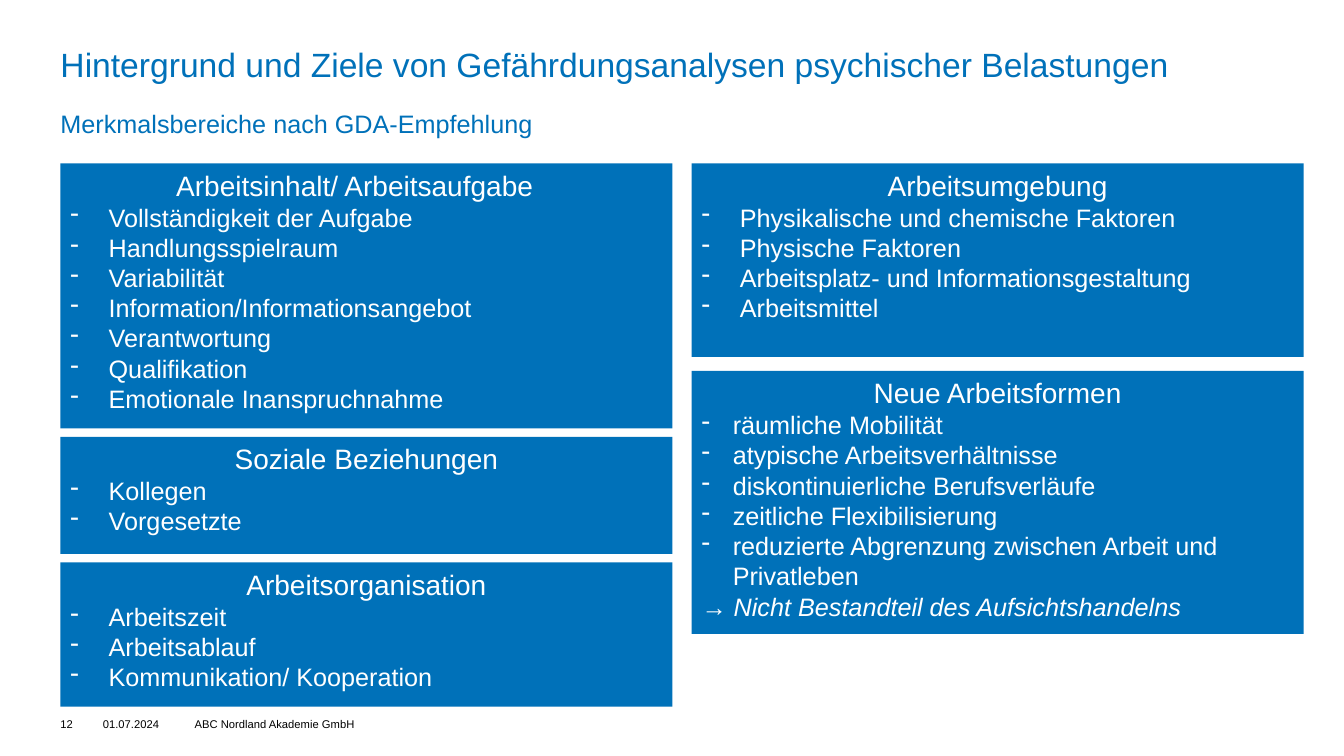
import pptx
import pptx.util
import pptx.dml.color
import pptx.enum.shapes
import pptx.enum.text
import pptx.oxml.ns
import lxml.etree

Inches, Pt = pptx.util.Inches, pptx.util.Pt
ALIGN, ANCHOR = pptx.enum.text.PP_ALIGN, pptx.enum.text.MSO_ANCHOR

COLORS = {"blue": "0071B9", "white": "FFFFFF", "black": "000000"}
FONT = "Arial"
SLIDE_W, SLIDE_H = 13.33, 7.5

# Two equal columns between the margins
LEFT, COLUMN_W, GUTTER = 0.6, 6.07, 0.19
COLUMNS = [LEFT + i * (COLUMN_W + GUTTER) for i in range(2)]
PANELS_TOP, FOOTER_TOP, FOOTER_H = 1.62, 7.02, 0.32

# Per column: gap between panels, then (heading, items, height, indent, extra right inset)
AREAS = [
    (0.085, [
        ("Arbeitsinhalt/ Arbeitsaufgabe",
         ["Vollständigkeit der Aufgabe", "Handlungsspielraum", "Variabilität",
          "Information/Informationsangebot", "Verantwortung", "Qualifikation",
          "Emotionale Inanspruchnahme"], 2.63, 0.38, 0.23),
        ("Soziale Beziehungen", ["Kollegen", "Vorgesetzte"], 1.16, 0.38, 0),
        ("Arbeitsorganisation",
         ["Arbeitszeit", "Arbeitsablauf", "Kommunikation/ Kooperation"], 1.43, 0.38, 0),
    ]),
    (0.14, [
        ("Arbeitsumgebung",
         ["Physikalische und chemische Faktoren", "Physische Faktoren",
          "Arbeitsplatz- und Informationsgestaltung", "Arbeitsmittel"], 1.92, 0.38, 0),
        ("Neue Arbeitsformen",
         ["räumliche Mobilität", "atypische Arbeitsverhältnisse",
          "diskontinuierliche Berufsverläufe", "zeitliche Flexibilisierung",
          "reduzierte Abgrenzung zwischen Arbeit und Privatleben"], 2.61, 0.31, 0),
    ]),
]
NOTE = "Nicht Bestandteil des Aufsichtshandelns"
FOOTER = [("12", 0.42), ("01.07.2024", 0.91), ("ABC Nordland Akademie GmbH", 3.95)]


def rgb(name):
    return pptx.dml.color.RGBColor.from_string(COLORS[name])


def add_run(paragraph, text, size, color, italic=False):
    run = paragraph.add_run()
    run.text = text
    run.font.name = FONT
    run.font.size = Pt(size)
    run.font.color.rgb = rgb(color)
    if italic:
        run.font.italic = True


def set_dash(paragraph, indent):
    properties = paragraph._p.get_or_add_pPr()
    properties.set("marL", str(Inches(indent)))
    properties.set("indent", str(-Inches(indent)))
    bullet = lxml.etree.SubElement(properties, pptx.oxml.ns.qn("a:buChar"))
    bullet.set("char", "-")


def add_line(slide, box, text, size, color, insets=(0, 0, 0, 0), anchor=ANCHOR.TOP):
    frame = slide.shapes.add_textbox(*map(Inches, box)).text_frame
    frame.word_wrap = True
    frame.vertical_anchor = anchor
    (frame.margin_left, frame.margin_top,
     frame.margin_right, frame.margin_bottom) = map(Inches, insets)
    add_run(frame.paragraphs[0], text, size, color)
    return frame.paragraphs[0]


def add_header(slide, left, width):
    add_line(slide, (left, 0.44, width, 0.47),
             "Hintergrund und Ziele von Gefährdungsanalysen psychischer Belastungen",
             24, "blue")
    subtitle = add_line(slide, (left, 1.07, width, 0.55),
                        "Merkmalsbereiche nach GDA-Empfehlung", 18, "blue")
    subtitle.line_spacing = Pt(22)


def add_panel(slide, box, heading, items, indent, extra_inset):
    panel = slide.shapes.add_shape(pptx.enum.shapes.MSO_SHAPE.RECTANGLE, *map(Inches, box))
    panel.shadow.inherit = False
    panel.fill.solid()
    panel.fill.fore_color.rgb = rgb("blue")
    panel.line.fill.background()
    frame = panel.text_frame
    frame.word_wrap = True
    frame.vertical_anchor = ANCHOR.TOP
    frame.margin_right = Inches(0.1 + extra_inset)
    frame.paragraphs[0].alignment = ALIGN.CENTER
    add_run(frame.paragraphs[0], heading, 20, "white")
    for item in items:
        paragraph = frame.add_paragraph()
        paragraph.alignment = ALIGN.LEFT
        set_dash(paragraph, indent)
        add_run(paragraph, item, 18, "white")
    return frame


def add_column(slide, left, top, gap, areas):
    """Stack the panels downwards and return the text of the last one."""
    for heading, items, height, indent, extra_inset in areas:
        frame = add_panel(slide, (left, top, COLUMN_W, height),
                          heading, items, indent, extra_inset)
        top += height + gap
    return frame


def add_footer(slide, left, top, height):
    for text, width in FOOTER:
        add_line(slide, (left, top, width, height), text, 8, "black",
                 (0, 0.07, 0.13, 0.07), ANCHOR.MIDDLE)
        left += width


def main():
    deck = pptx.Presentation()
    deck.slide_width, deck.slide_height = Inches(SLIDE_W), Inches(SLIDE_H)
    slide = deck.slides.add_slide(deck.slide_layouts[6])

    add_header(slide, LEFT, 12.12)
    for left, (gap, areas) in zip(COLUMNS, AREAS):
        last_panel = add_column(slide, left, PANELS_TOP, gap, areas)

    # Closing remark under the new forms of work
    remark = last_panel.add_paragraph()
    remark.alignment = ALIGN.LEFT
    add_run(remark, "→ ", 18, "white")
    add_run(remark, NOTE, 18, "white", italic=True)

    add_footer(slide, LEFT, FOOTER_TOP, FOOTER_H)
    deck.save("out.pptx")


if __name__ == "__main__":
    main()
